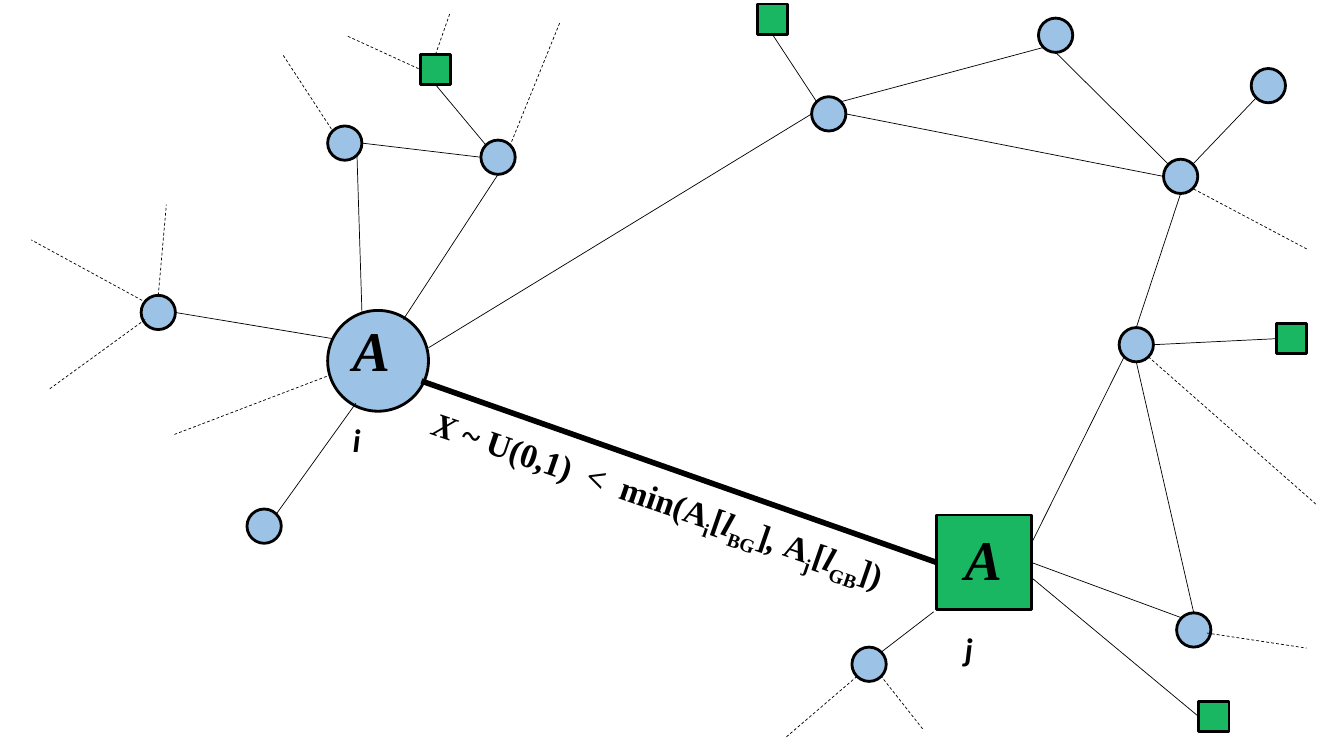
from lxml import etree
from pptx import Presentation
from pptx.dml.color import RGBColor
from pptx.enum.dml import MSO_LINE
from pptx.enum.shapes import MSO_CONNECTOR, MSO_SHAPE as SHAPE
from pptx.enum.text import MSO_AUTO_SIZE as AUTO_SIZE
from pptx.oxml.ns import qn
from pptx.util import Pt

PX = 9144
SLIDE_BOX = (0, 0, 1333, 750)
BLACK = "000000"
CIRCLE = {"preset": SHAPE.OVAL, "fill": "5B9BD5", "alpha": 60, "size": 34, "diagonal": 0.71}
SQUARE = {"preset": SHAPE.RECTANGLE, "fill": "00B050", "alpha": 90, "size": 30, "diagonal": 1}

NODES = {
    "south_west": (CIRCLE, 245, 505),
    "agent_j": ({**SQUARE, "size": 94}, 929, 511),
    "right": (CIRCLE, 1110, 325),
    "top": (CIRCLE, 1030, 18),
    "agent_i": ({**CIRCLE, "size": 100}, 325, 308),
    "bottom": (CIRCLE, 845, 642),
    "middle": (CIRCLE, 805, 96),
    "square_north": (SQUARE, 417, 54),
    "square_top": (SQUARE, 751, 4),
    "square_right": (SQUARE, 1266, 321),
    "square_bottom": (SQUARE, 1189, 696),
    "north_west": (CIRCLE, 325, 125),
    "west": (CIRCLE, 140, 293),
    "north": (CIRCLE, 477, 139),
    "far_east": (CIRCLE, 1241, 68),
    "south_east": (CIRCLE, 1167, 608),
    "east": (CIRCLE, 1154, 158),
}
DIRECTIONS = {
    "n": (0, -1), "w": (-1, 0), "s": (0, 1), "e": (1, 0),
    "nw": (-1, -1), "sw": (-1, 1), "se": (1, 1), "ne": (1, -1),
}
SITES = {"n": 0, "w": 1, "s": 2, "e": 3}

CHOSEN_LINKS = [((418, 378), ("agent_j", "w"))]
LINKS = [
    ((400, 317), ("north", "s")),
    ((330, 336), ("west", "e")),
    (("middle", "nw"), ("square_top", "s")),
    (("east", "nw"), ("top", "s")),
    ((1023, 573), ("square_bottom", "w")),
    (("east", "s"), ("right", "n")),
    (("top", "sw"), ("middle", "ne")),
    ((353, 400), ("south_west", "ne")),
    (("agent_j", "e"), ("south_east", "nw")),
    ((425, 345), ("middle", "w")),
    (("middle", "e"), ("east", "w")),
    (("east", "ne"), ("far_east", "sw")),
    (("right", "e"), ("square_right", "w")),
    (("right", "s"), ("south_east", "n")),
    (("bottom", "ne"), (926, 607)),
    ((1023, 539), ("right", "sw")),
    (("north", "nw"), ("square_north", "s")),
    (("north", "w"), ("north_west", "e")),
    ((359, 310), ("north_west", "se")),
]
OUTER_LINKS = [
    ((173, 431), (325, 373)),
    ((281, 55), ("north_west", "nw")),
    ((1305, 500), ("right", "se")),
    ((780, 731), ("bottom", "sw")),
    ((1197, 628), (1296, 643)),
    ((345, 36), ("square_north", "w")),
    ((446, 14), ("square_north", "n")),
    ((555, 23), ("north", "ne")),
    ((1296, 247), ("east", "se")),
    ((144, 317), (49, 386)),
    ((141, 298), (31, 238)),
    (("west", "n"), (165, 203)),
    ((915, 723), ("bottom", "se")),
]

ITALIC = {"italic": True}
SUBSCRIPT = {"baseline": -25}
RULE = [
    ("X", ITALIC), (" ~ U(0,1)  <  min(A", {}), ("i", SUBSCRIPT), ("[", {}),
    ("l", ITALIC), ("BG", SUBSCRIPT), ("]", {}), (", ", ITALIC),
    ("A", {}), ("j", SUBSCRIPT), ("[", {}), ("l", ITALIC),
    ("GB", SUBSCRIPT), ("])", {}),
]


def color(value):
    return RGBColor.from_string(value)


def place(box, x, y):
    return round((box[0] + x) * PX), round((box[1] + y) * PX)


def add_node(slide, box, style, left, top):
    side = style["size"] * PX
    shape = slide.shapes.add_shape(style["preset"], *place(box, left, top), side, side)
    shape.shadow.inherit = False
    shape.fill.solid()
    shape.fill.fore_color.rgb = color(style["fill"])
    fill = shape._element.spPr.find(qn("a:solidFill"))
    etree.SubElement(fill[0], qn("a:alpha"), val=str(style["alpha"] * 1000))
    shape.line.color.rgb = color(BLACK)
    shape.line.width = Pt(2)
    return shape


def anchor(end):
    if end[0] not in NODES:
        return end
    name, direction = end
    style, left, top = NODES[name]
    radius = style["size"] / 2
    reach = radius * (style["diagonal"] if len(direction) == 2 else 1)
    dx, dy = DIRECTIONS[direction]
    return left + radius + dx * reach, top + radius + dy * reach


def add_link(slide, box, shapes, ends, width, dashed):
    start, finish = [place(box, *anchor(end)) for end in ends]
    connector = slide.shapes.add_connector(MSO_CONNECTOR.STRAIGHT, *start, *finish)
    for end, connect in zip(ends, (connector.begin_connect, connector.end_connect)):
        name, direction = end
        if name in NODES and direction in SITES and NODES[name][0]["preset"] == SHAPE.RECTANGLE:
            connect(shapes[name], SITES[direction])
    connector.line.color.rgb = color(BLACK)
    connector.line.width = Pt(width)
    if dashed:
        connector.line.dash_style = MSO_LINE.DASH
    etree.SubElement(connector._element.spPr, qn("a:effectLst"))


def draw_network(slide, box):
    shapes = {name: add_node(slide, box, *node) for name, node in NODES.items()}
    for links, width, dashed in ((CHOSEN_LINKS, 4, False), (LINKS, 0.5, False), (OUTER_LINKS, 0.5, True)):
        for ends in links:
            add_link(slide, box, shapes, ends, width, dashed)


def draw_text(slide, box, runs, size, wrap, rotation=0):
    left, top, width, height = box
    shape = slide.shapes.add_textbox(*place(box, 0, 0), width * PX, height * PX)
    shape.rotation = rotation
    frame = shape.text_frame
    frame.word_wrap = wrap
    frame.auto_size = AUTO_SIZE.NONE if wrap else AUTO_SIZE.SHAPE_TO_FIT_TEXT
    for text, changes in runs:
        run = frame.paragraphs[0].add_run()
        run.text = text
        formats = {"name": "Times New Roman", "size": Pt(size), "bold": True, "italic": False, **changes}
        baseline = formats.pop("baseline", 0)
        for key, value in formats.items():
            setattr(run.font, key, value)
        run.font.color.rgb = color(BLACK)
        if baseline:
            run._r.get_or_add_rPr().set("baseline", str(baseline * 1000))


def draw_labels(slide, box):
    for index, left, top in (("i", 340, 308), ("j", 947, 515)):
        runs = [("A", ITALIC), (index, {**ITALIC, **SUBSCRIPT, "name": "Calibri"})]
        draw_text(slide, (box[0] + left, box[1] + top, 60, 77), runs, 40, True)
    draw_text(slide, (box[0] + 408, box[1] + 472, 502, 50), RULE, 24, False, 19.1)


def main():
    presentation = Presentation()
    presentation.slide_width = SLIDE_BOX[2] * PX
    presentation.slide_height = SLIDE_BOX[3] * PX
    slide = presentation.slides.add_slide(presentation.slide_layouts[6])
    draw_network(slide, SLIDE_BOX)
    draw_labels(slide, SLIDE_BOX)
    presentation.save("out.pptx")


if __name__ == "__main__":
    main()
